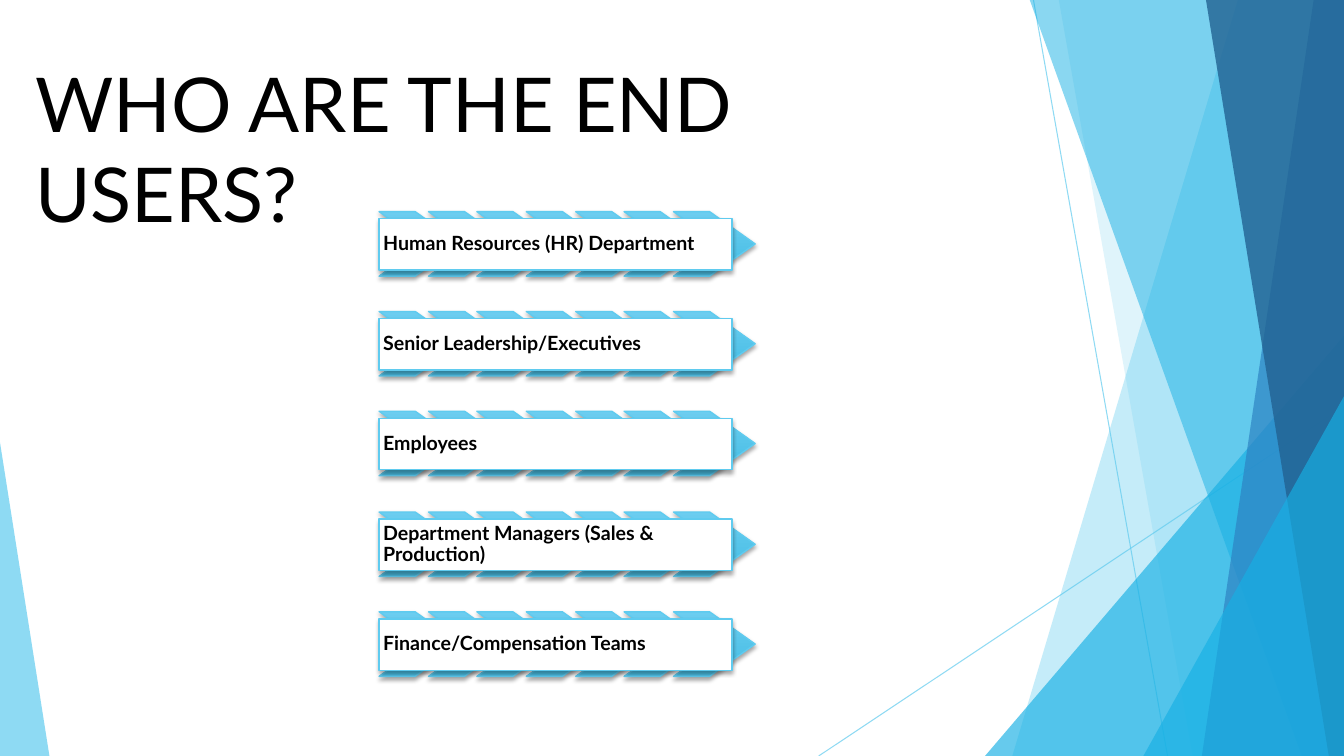
from lxml import etree
from pptx import Presentation, util as u
from pptx.dml.color import RGBColor
from pptx.enum import shapes, text
from pptx.oxml import ns

PX = 9144
WIDTH, HEIGHT = 1333, 750
FONT = "Lato"

BLACK = RGBColor(0x00, 0x00, 0x00)
WHITE = RGBColor(0xFF, 0xFF, 0xFF)
SKY = RGBColor(0x5F, 0xCB, 0xEF)
CYAN = RGBColor(0x17, 0xB0, 0xE4)
BLUE = RGBColor(0x2E, 0x83, 0xC3)
NAVY = RGBColor(0x22, 0x62, 0x92)
GRADIENT_TOP = RGBColor(0x6C, 0xCD, 0xF0)
GRADIENT_BOTTOM = RGBColor(0x4B, 0xC0, 0xE6)

USERS = [
    "Human Resources (HR) Department",
    "Senior Leadership/Executives",
    "Employees",
    "Department Managers (Sales & Production)",
    "Finance/Compensation Teams",
]
LINES = [((1025, 0), (1158, 750)), ((1333, 403), (812, 750))]
BAND_TOP = -1
LEFT_BANDS = [
    (1228, 1004, SKY, 36),
    (1050, 1183, SKY, 20),
]
RIGHT_BANDS = [
    (1021, 1291, CYAN, 50),
    (1303, 1192, BLUE, 70),
    (1196, 1318, NAVY, 80),
]
CHEVRONS = 7
ROWS_LEFT, ROWS_TOP = 376, 210
CHEVRON_SPAN, ROW_SPAN = 292, 397


def px(*lengths):
    return [u.Emu(length * PX) for length in lengths]


def set_opacity(shape, percent):
    for color in shape.element.spPr.iter(ns.qn("a:srgbClr")):
        etree.SubElement(color, ns.qn("a:alpha"), val=str(percent * 1000))


def add_shadow(shape):
    shape.shadow.inherit = False
    effects = shape.element.spPr.find(ns.qn("a:effectLst"))
    shadow = etree.SubElement(
        effects, ns.qn("a:outerShdw"), blurRad=str(u.Pt(3)), dist=str(u.Pt(2)),
        dir="5400000", rotWithShape="0")
    color = etree.SubElement(shadow, ns.qn("a:srgbClr"), val=str(BLACK))
    etree.SubElement(color, ns.qn("a:alpha"), val="35000")


def write_text(shape, words, size, bold=False, inset=(10, 5), spacing=1.0,
               anchor=text.MSO_ANCHOR.MIDDLE, fit=text.MSO_AUTO_SIZE.NONE):
    frame = shape.text_frame
    frame.word_wrap = True
    frame.auto_size = fit
    frame.vertical_anchor = anchor
    frame.margin_left, frame.margin_top = px(*inset)
    frame.margin_right, frame.margin_bottom = px(*inset)
    para = frame.paragraphs[0]
    para.alignment = text.PP_ALIGN.LEFT
    para.line_spacing = spacing
    span = para.add_run()
    span.text = words
    span.font.name = FONT
    span.font.size = u.Pt(size)
    span.font.bold = bold
    span.font.color.rgb = BLACK


def paint_glass(shape, color, opacity):
    shape.shadow.inherit = False
    shape.fill.solid()
    shape.fill.fore_color.rgb = color
    shape.line.fill.background()
    set_opacity(shape, opacity)


def add_thin_line(page, start, end):
    line = page.shapes.add_connector(
        shapes.MSO_CONNECTOR.STRAIGHT, *px(*start, *end))
    line.line.color.rgb = SKY
    line.line.width = u.Pt(0.75)
    set_opacity(line, 70)
    etree.SubElement(line.element.spPr, ns.qn("a:effectLst"))


def add_band(page, top_x, bottom_x, color, opacity):
    builder = page.shapes.build_freeform(top_x, BAND_TOP, scale=PX)
    builder.add_line_segments(
        [(WIDTH, BAND_TOP), (WIDTH, HEIGHT), (bottom_x, HEIGHT)], close=True)
    paint_glass(builder.convert_to_shape(), color, opacity)


def add_wedge(page, left, top, width, apex, color, opacity):
    wedge = page.shapes.add_shape(
        shapes.MSO_SHAPE.ISOSCELES_TRIANGLE, *px(left, top, width, HEIGHT - top))
    wedge.adjustments[0] = apex
    paint_glass(wedge, color, opacity)


def add_backdrop(page):
    for start, end in LINES:
        add_thin_line(page, start, end)
    for band in LEFT_BANDS:
        add_band(page, *band)
    add_wedge(page, 977, 333, 356, 1, CYAN, 66)
    for band in RIGHT_BANDS:
        add_band(page, *band)
    add_wedge(page, 1134, 393, 199, 1, CYAN, 66)
    add_wedge(page, 0, 439, 49, 0, SKY, 70)


def add_raised_shape(page, kind, left, top, width, height):
    shape = page.shapes.add_shape(kind, *px(left, top, width, height))
    shape.line.color.rgb = SKY
    shape.line.width = u.Pt(1)
    add_shadow(shape)
    return shape


def add_chevron(page, left, top):
    chevron = add_raised_shape(page, shapes.MSO_SHAPE.CHEVRON, left, top, 81, 64)
    chevron.adjustments[0] = 0.706
    chevron.fill.gradient()
    chevron.fill.gradient_angle = 270
    first, last = chevron.fill.gradient_stops
    first.position, first.color.rgb = 0, GRADIENT_TOP
    last.position, last.color.rgb = 0.78, GRADIENT_BOTTOM


def add_user_row(page, top, user):
    for index in range(CHEVRONS):
        offset = round(CHEVRON_SPAN * index / (CHEVRONS - 1))
        add_chevron(page, ROWS_LEFT + offset, top)
    box = add_raised_shape(
        page, shapes.MSO_SHAPE.RECTANGLE, ROWS_LEFT, top + 7, 350, 51)
    box.fill.solid()
    box.fill.fore_color.rgb = WHITE
    write_text(box, user, 14, bold=True, inset=(4, 4), spacing=0.9)


def add_title(page, words):
    title = page.shapes.title
    title.left, title.top, title.width, title.height = px(25, 51, 970, 101)
    write_text(title, words, 54, anchor=text.MSO_ANCHOR.TOP,
               fit=text.MSO_AUTO_SIZE.SHAPE_TO_FIT_TEXT)


def main():
    deck = Presentation()
    deck.slide_width, deck.slide_height = px(WIDTH, HEIGHT)
    page = deck.slides.add_slide(deck.slide_layouts.get_by_name("Title Only"))
    add_backdrop(page)
    add_title(page, "WHO ARE THE END USERS?")
    for index, user in enumerate(USERS):
        offset = round(ROW_SPAN * index / (len(USERS) - 1))
        add_user_row(page, ROWS_TOP + offset, user)
    deck.save("out.pptx")


if __name__ == "__main__":
    main()
